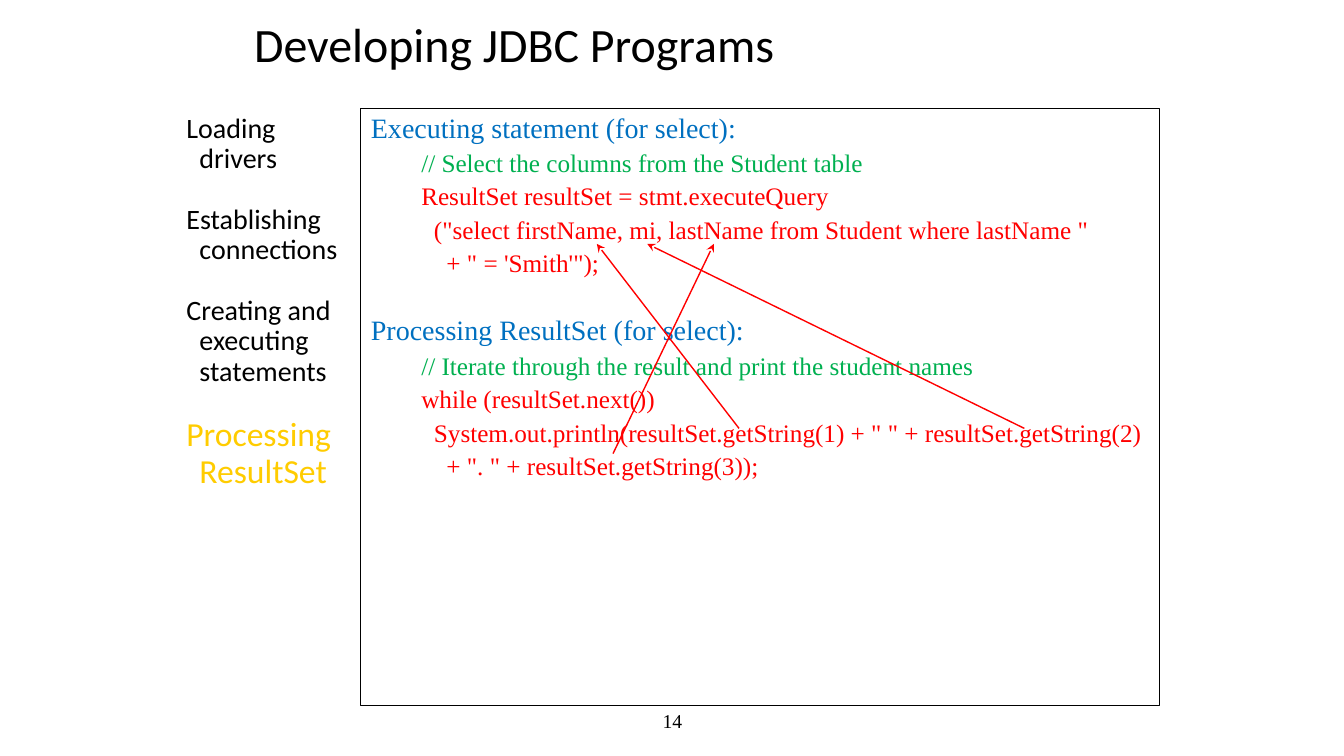
import pptx
import pptx.util
import pptx.dml.color
import pptx.enum.shapes
import pptx.enum.text
import pptx.oxml.ns
import lxml.etree

Inches = pptx.util.Inches
Pt = pptx.util.Pt
ALIGN = pptx.enum.text.PP_ALIGN
ANCHOR = pptx.enum.text.MSO_ANCHOR

COLORS = {
    "text": "000000",
    "current": "FFCC00",
    "heading": "0070C0",
    "comment": "00B050",
    "code": "FF0000",
}
SANS, SERIF = "Calibri", "Times New Roman"
CODE_INDENT, CODE_STEP = 0.5, 0.125

STEPS = ["Loading drivers", "Establishing connections",
         "Creating and executing statements", "Processing ResultSet"]

# Each line: role, extra indent steps, text
CODE_LINES = [
    ("heading", 0, "Executing statement (for select):"),
    ("comment", 0, "// Select the columns from the Student table"),
    ("code", 0, "ResultSet resultSet = stmt.executeQuery"),
    ("code", 1, '("select firstName, mi, lastName from Student where lastName "'),
    ("code", 2, "+ \" = 'Smith'\");"),
    ("heading", 0, "Processing ResultSet (for select):"),
    ("comment", 0, "// Iterate through the result and print the student names"),
    ("code", 0, "while (resultSet.next())"),
    ("code", 1, 'System.out.println(resultSet.getString(1) + " " + resultSet.getString(2)'),
    ("code", 2, '+ ". " + resultSet.getString(3));'),
]

# Arrows from getString calls to columns, relative to the code box
COLUMN_ARROWS = [
    ((3.75, 3.17), (2.34, 1.34)),
    ((6.58, 3.17), (2.84, 1.34)),
    ((2.5, 3.42), (3.5, 1.34)),
]


def color(name):
    return pptx.dml.color.RGBColor.from_string(COLORS[name])


def write(paragraph, text, font_name, size, color_name):
    paragraph.text = text
    for run in paragraph.runs:
        run.font.name = font_name
        run.font.size = Pt(size)
        run.font.color.rgb = color(color_name)


def set_indent(paragraph, left, first=0):
    properties = paragraph._p.get_or_add_pPr()
    properties.set("marL", str(Inches(left)))
    properties.set("indent", str(Inches(first)))


def place(shape, box):
    shape.left, shape.top, shape.width, shape.height = map(Inches, box)


def next_paragraph(frame, index):
    return frame.add_paragraph() if index else frame.paragraphs[0]


def add_title(slide, box):
    title = slide.shapes.title
    place(title, box)
    frame = title.text_frame
    frame.auto_size = pptx.enum.text.MSO_AUTO_SIZE.NONE
    frame.vertical_anchor = ANCHOR.MIDDLE
    paragraph = frame.paragraphs[0]
    write(paragraph, "Developing JDBC Programs", SANS, 34.2, "text")
    paragraph.alignment = ALIGN.LEFT
    paragraph.line_spacing = 0.9


def add_steps(slide, box):
    frame = slide.shapes.add_textbox(*map(Inches, box)).text_frame
    frame.word_wrap = True
    for index, step in enumerate(STEPS):
        is_current = index == len(STEPS) - 1
        paragraph = next_paragraph(frame, index)
        write(paragraph, step, SANS, 24 if is_current else 20,
              "current" if is_current else "text")
        set_indent(paragraph, 0.13, -0.13)
        paragraph.line_spacing = 0.9
        paragraph.space_before = Pt(10)
        paragraph.space_after = Pt(12)


def add_arrow(slide, start, end):
    arrow = slide.shapes.add_connector(
        pptx.enum.shapes.MSO_CONNECTOR.STRAIGHT, *map(Inches, start + end))
    arrow.line.color.rgb = color("code")
    arrow.line.width = Pt(1)
    qn = pptx.oxml.ns.qn
    lxml.etree.SubElement(arrow.line._get_or_add_ln(), qn("a:tailEnd"), type="stealth")
    lxml.etree.SubElement(arrow._element.spPr, qn("a:effectLst"))


def add_code(slide, box):
    panel = slide.shapes.add_shape(
        pptx.enum.shapes.MSO_SHAPE.RECTANGLE, *map(Inches, box))
    panel.shadow.inherit = False
    panel.fill.background()
    panel.line.color.rgb = color("text")
    panel.line.width = Pt(0.75)
    frame = panel.text_frame
    frame.word_wrap = True
    frame.vertical_anchor = ANCHOR.TOP
    for index, (role, steps, text) in enumerate(CODE_LINES):
        is_heading = role == "heading"
        paragraph = next_paragraph(frame, index)
        write(paragraph, text, SERIF, 20 if is_heading else 18, role)
        paragraph.alignment = ALIGN.LEFT
        paragraph.line_spacing = 0.9
        # A later heading opens a new section with a wider gap
        paragraph.space_before = Pt(27.5 if is_heading and index else 4.5)
        if not is_heading:
            set_indent(paragraph, CODE_INDENT + steps * CODE_STEP)

    # Arrows linking results to columns
    left, top = box[:2]
    for start, end in COLUMN_ARROWS:
        add_arrow(slide, (left + start[0], top + start[1]),
                  (left + end[0], top + end[1]))


def add_page_number(slide, box):
    frame = slide.shapes.add_textbox(*map(Inches, box)).text_frame
    frame.word_wrap = True
    frame.vertical_anchor = ANCHOR.MIDDLE
    write(frame.paragraphs[0], "14", SERIF, 14, "text")
    frame.paragraphs[0].alignment = ALIGN.CENTER


presentation = pptx.Presentation()
presentation.slide_width = Inches(13.33)
presentation.slide_height = Inches(7.5)
slide = presentation.slides.add_slide(presentation.slide_layouts[5])
add_page_number(slide, (4.42, 6.95, 4.5, 0.4))
add_title(slide, (2.42, 0.17, 8.5, 0.6))
add_steps(slide, (1.75, 1.08, 1.75, 3.92))
add_code(slide, (3.58, 1.08, 7.92, 5.92))
presentation.save("out.pptx")
